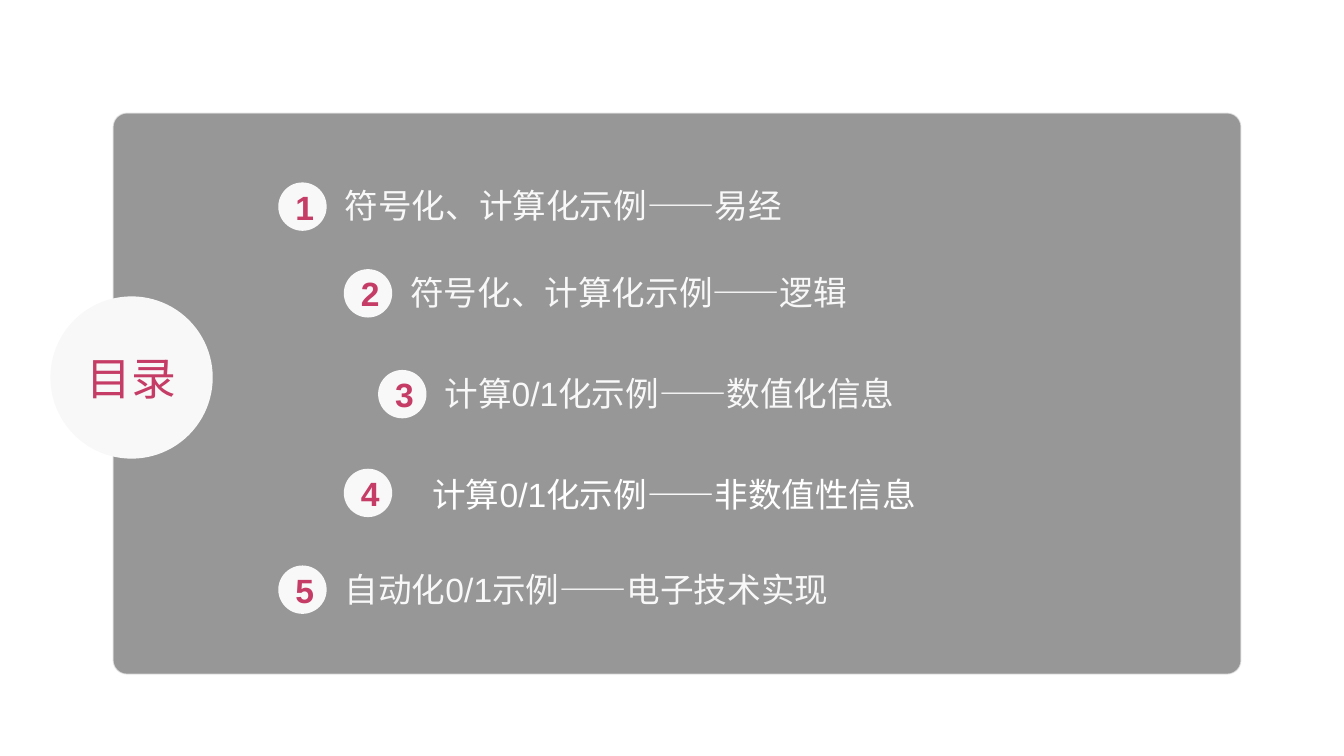
from dataclasses import dataclass

from lxml import etree
from pptx import Presentation
from pptx import util as u
from pptx.dml import color
from pptx.enum import shapes, text
from pptx.oxml import ns


@dataclass(frozen=True)
class Theme:
    """Colours, font and type sizes of the slide."""
    panel: str = "333333"
    light: str = "F8F8F8"
    white: str = "FFFFFF"
    accent: str = "C53C66"
    font: str = "Arial"
    title_size: int = 32
    item_size: int = 24


THEME = Theme()
BADGE = 0.48
ITEMS = [
    (2.76, 1.81, "符号化、计算化示例——易经", {}),
    (3.41, 2.67, "符号化、计算化示例——逻辑", {}),
    (3.75, 3.67, "计算0/1化示例——数值化信息", {}),
    (3.41, 4.65, "计算0/1化示例——非数值性信息",
     {"gap": 0.3, "rise": 0, "width": 5.52, "tint": THEME.white}),
    (2.76, 5.61, "自动化0/1示例——电子技术实现", {}),
]


def set_alpha(fill, percent):
    """Make a solid fill partly transparent."""
    for tint in fill._xPr.iter(ns.qn("a:srgbClr")):
        etree.SubElement(tint, ns.qn("a:alpha")).set("val", str(percent * 1000))


def write(box, words, tint, size, bold=False, align=text.PP_ALIGN.LEFT):
    """Put one formatted line of text in a box."""
    box.text_frame.word_wrap = True
    para = box.text_frame.paragraphs[0]
    para.alignment = align
    span = para.add_run()
    span.text = words
    formats = {"name": THEME.font, "size": u.Pt(size), "bold": bold}
    for name, value in formats.items():
        setattr(span.font, name, value)
    span.font.color.rgb = color.RGBColor.from_string(tint)


def add_filled(page, kind, box, tint):
    """Add a flat shape with a solid fill and no outline."""
    shape = page.shapes.add_shape(kind, *map(u.Inches, box))
    shape.shadow.inherit = False
    shape.fill.solid()
    shape.fill.fore_color.rgb = color.RGBColor.from_string(tint)
    shape.line.fill.background()
    return shape


def add_panel(page, box):
    """Add the translucent rounded panel behind the list."""
    panel = add_filled(page, shapes.MSO_SHAPE.ROUNDED_RECTANGLE, box, THEME.panel)
    panel.adjustments[0] = 0.025
    set_alpha(panel.fill, 51)
    panel.line.color.rgb = color.RGBColor.from_string(THEME.light)
    panel.line.width = u.Pt(1)
    set_alpha(panel.line.fill, 62)


def add_disc(page, box, words, size, bold=False):
    """Add a light circle with centred accent text."""
    disc = add_filled(page, shapes.MSO_SHAPE.OVAL, box, THEME.light)
    disc.text_frame.vertical_anchor = text.MSO_ANCHOR.MIDDLE
    write(disc, words, THEME.accent, size, bold, text.PP_ALIGN.CENTER)
    return disc


def add_title(page, box):
    """Add the large contents disc."""
    frame = add_disc(page, box, "目录", THEME.title_size).text_frame
    for side in ("left", "right", "top", "bottom"):
        setattr(frame, f"margin_{side}", 0)


def add_item(page, left, top, number, words, gap=0.08, rise=0.02, width=5.39,
             tint=THEME.light):
    """Add a numbered badge and the label to its right."""
    place = (left + BADGE + gap, top - rise, width, 0.5)
    label = page.shapes.add_textbox(*map(u.Inches, place))
    write(label, words, tint, THEME.item_size)
    add_disc(page, (left, top, BADGE, BADGE), str(number), THEME.item_size, True)


def main():
    """Build and save the contents slide."""
    deck = Presentation()
    deck.slide_width, deck.slide_height = u.Inches(13.33), u.Inches(7.5)
    page = deck.slides.add_slide(deck.slide_layouts[6])
    add_panel(page, (1.12, 1.12, 11.19, 5.57))
    add_title(page, (0.5, 2.94, 1.61, 1.61))
    for number, (left, top, words, options) in enumerate(ITEMS, 1):
        add_item(page, left, top, number, words, **options)
    deck.save("out.pptx")


if __name__ == "__main__":
    main()
